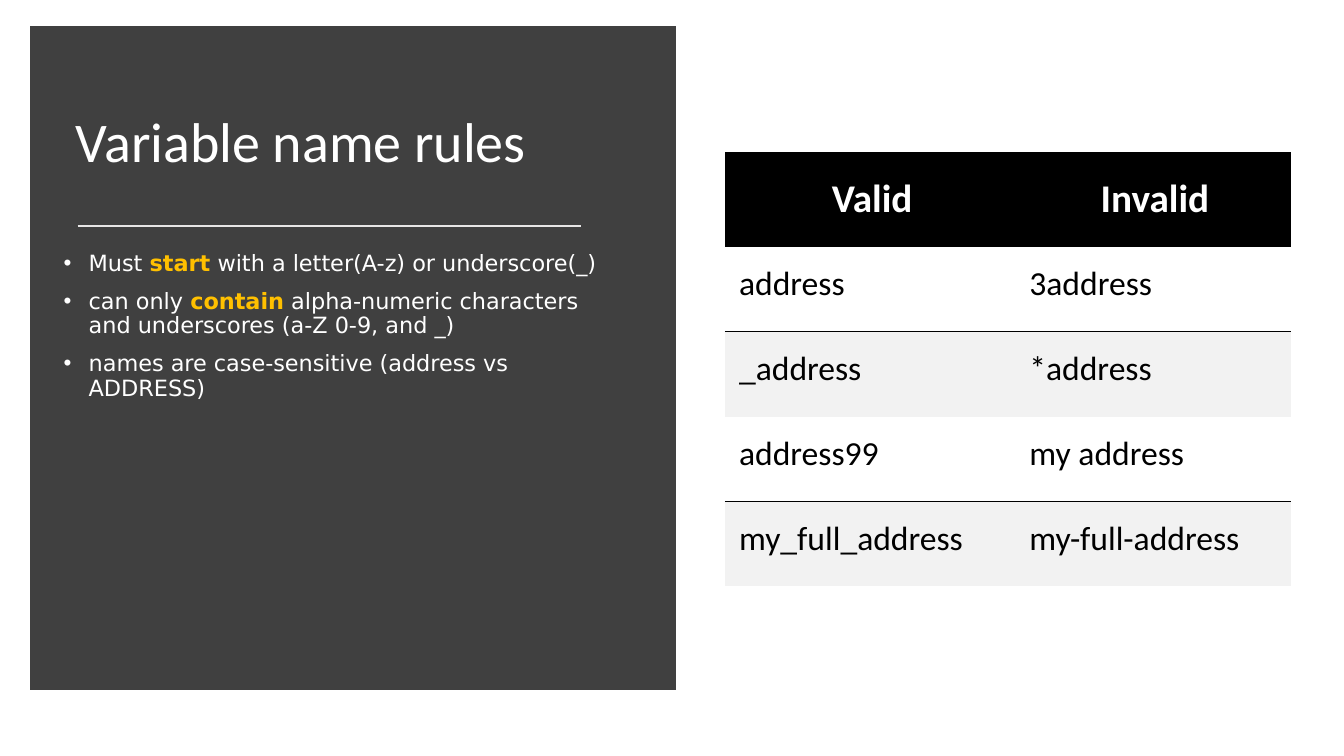
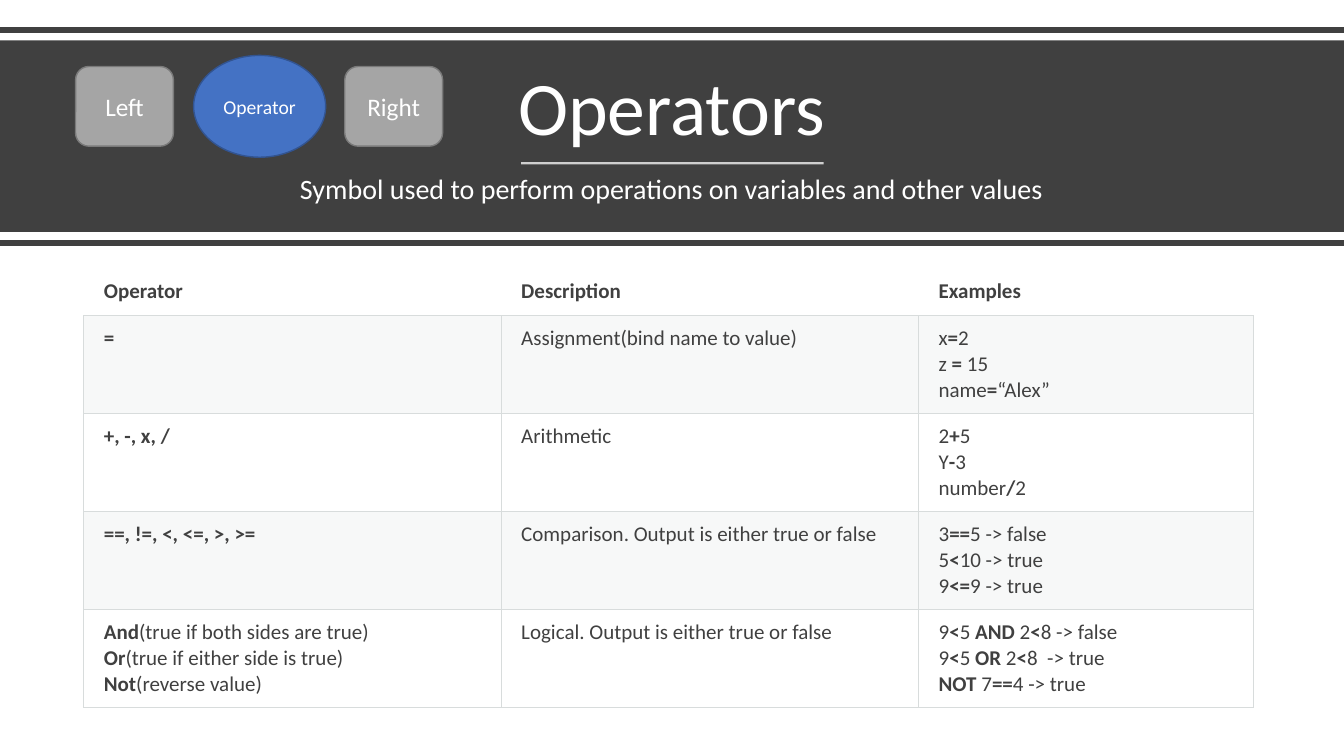
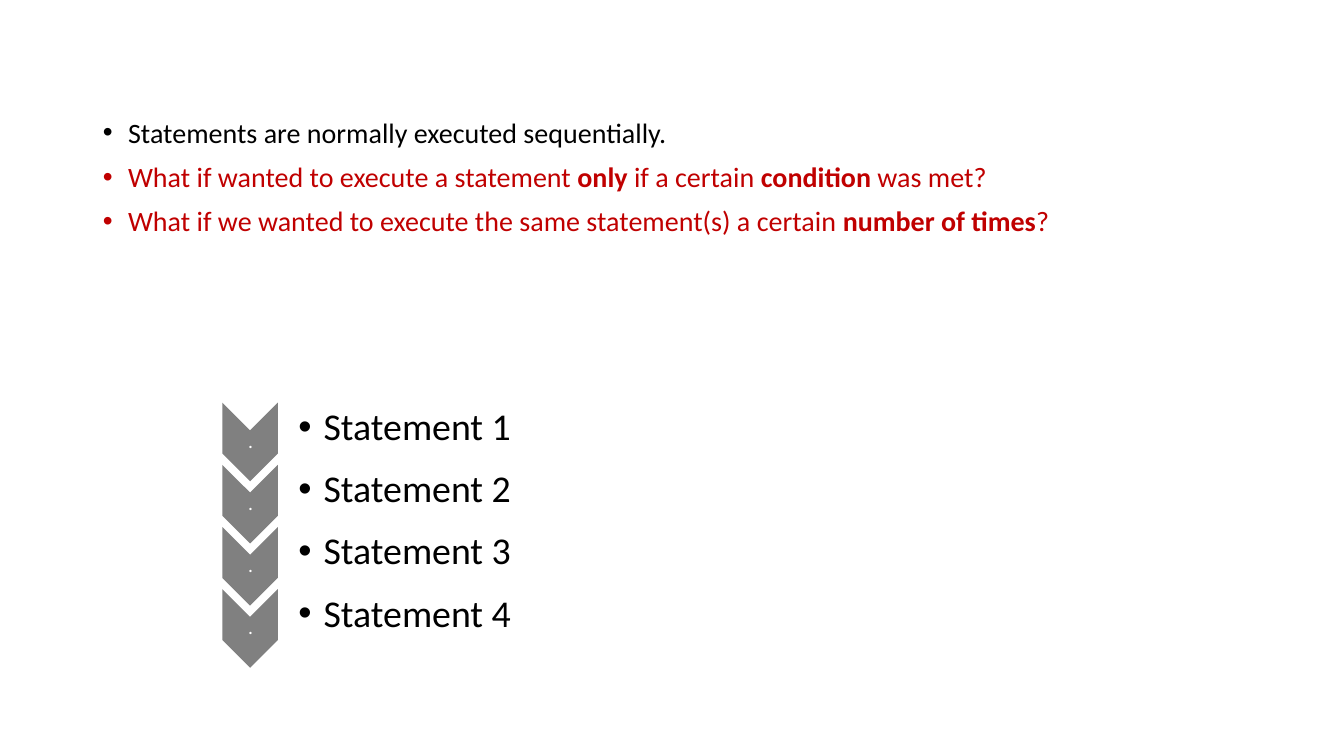
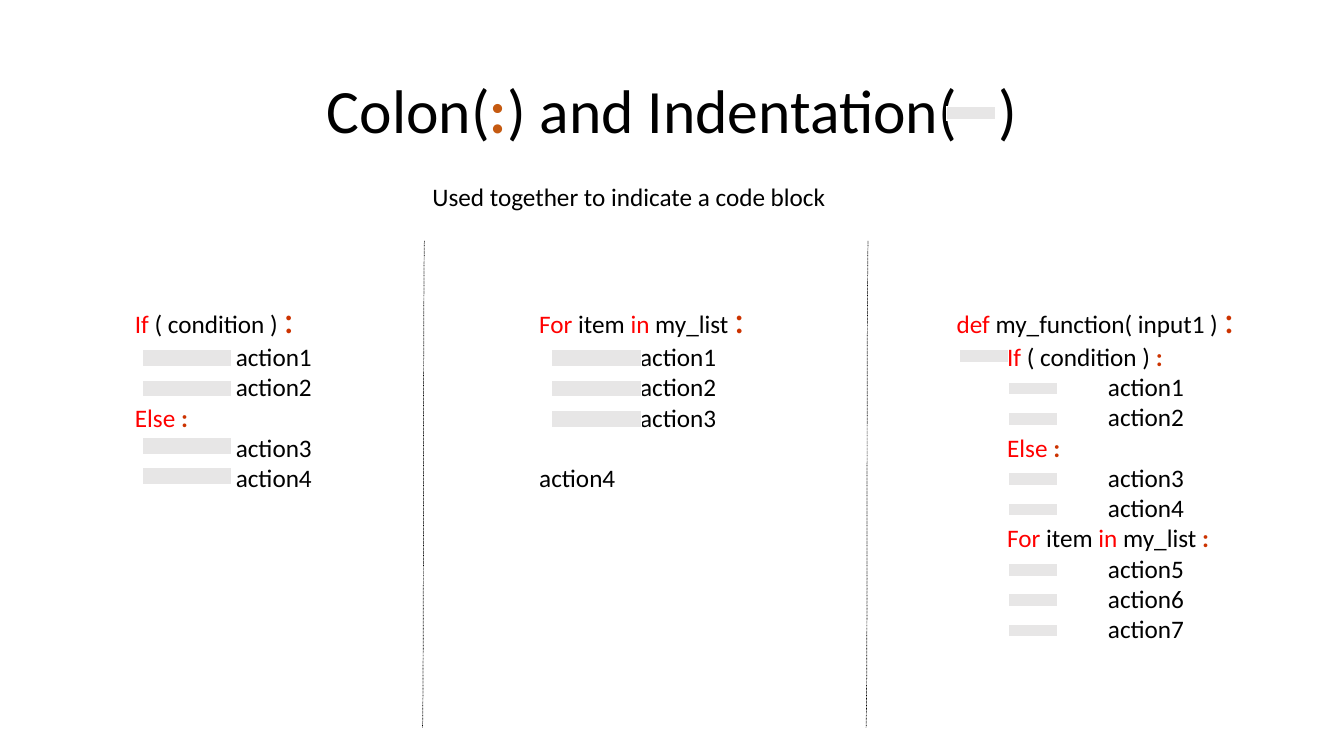
from lxml import etree
from pptx import Presentation
from pptx.dml.color import RGBColor
from pptx.enum.dml import MSO_LINE
from pptx.enum.shapes import MSO_CONNECTOR, MSO_SHAPE
from pptx.enum.text import MSO_ANCHOR, MSO_AUTO_SIZE, PP_ALIGN
from pptx.oxml.ns import qn
from pptx.util import Inches, Pt

RECT, ROUND = MSO_SHAPE.RECTANGLE, MSO_SHAPE.ROUNDED_RECTANGLE
OVAL, CHEVRON = MSO_SHAPE.OVAL, MSO_SHAPE.CHEVRON
CARD = MSO_SHAPE.ROUND_2_SAME_RECTANGLE
STRAIGHT, CURVE = MSO_CONNECTOR.STRAIGHT, MSO_CONNECTOR.CURVE
DOTS = MSO_LINE.ROUND_DOT
LEFT, CENTER = PP_ALIGN.LEFT, PP_ALIGN.CENTER
TOP, MIDDLE, BOTTOM = MSO_ANCHOR.TOP, MSO_ANCHOR.MIDDLE, MSO_ANCHOR.BOTTOM
FIXED = MSO_AUTO_SIZE.NONE

FONT, CODE = "Calibri", "DejaVu Sans"
DARK, WHITE, BLACK = "404040", "FFFFFF", "000000"
PALE, GRID, TINT, BAND = "E7E6E6", "D8DCDC", "D8DEDC", "F2F2F2"
GRAY, EDGE, BLUE, NAVY, STEEL = "A5A5A5", "7A7A7A", "4472C4", "325491", "808080"
GOLD, CRIMSON, RED, RUST, AMBER = "FFC000", "C00000", "FF0000", "CC3300", "C55A11"
PLAIN = "{2D5ABB26-0587-4C30-8999-92F81FD0307C}"


def color(code):
    return RGBColor.from_string(code)


def fade(node, share):
    for tone in node.iter(qn("a:srgbClr")):
        etree.SubElement(tone, qn("a:alpha"), val=str(share * 1000))


def mark(text, base=None, strong=None):
    styles = base or {}, {"bold": True, **(base or {}), **(strong or {})}
    return [(part, styles[i % 2]) for i, part in enumerate(text.split("|")) if part]


def write(par, runs, size, tone, bold=False, face=FONT):
    for text, style in runs:
        run = par.add_run()
        run.text = text
        font = run.font
        font.name = face
        font.size = Pt(style.get("size", size))
        font.bold = style.get("bold", bold)
        font.color.rgb = color(style.get("tone", tone))


def lay(par, align=LEFT, line=None, before=0, left=0, bullet=False):
    par.alignment = align
    par.space_before = Pt(before)
    if line:
        par.line_spacing = line
    props = par._p.get_or_add_pPr()
    props.set("marL", str(Inches(0.25 if bullet else left)))
    props.set("indent", str(Inches(-0.25 if bullet else 0)))
    if bullet:
        etree.SubElement(props, qn("a:buFont"), typeface="Arial")
        etree.SubElement(props, qn("a:buChar"), char="•")
    else:
        etree.SubElement(props, qn("a:buNone"))


def fill_text(frame, pars, size, tone, anchor=TOP, inset=None,
              bold=False, face=FONT, **style):
    frame.word_wrap = True
    frame.auto_size = FIXED
    frame.vertical_anchor = anchor
    if inset:
        (frame.margin_left, frame.margin_top,
         frame.margin_right, frame.margin_bottom) = map(Inches, inset)
    for i, runs in enumerate(pars):
        par = frame.add_paragraph() if i else frame.paragraphs[0]
        lay(par, **style)
        write(par, runs, size, tone, bold, face)


def place(shape, box):
    shape.left, shape.top, shape.width, shape.height = map(Inches, box)
    return shape.text_frame


def add_text(slide, box, pars, size, tone, **style):
    frame = slide.shapes.add_textbox(*map(Inches, box)).text_frame
    fill_text(frame, pars, size, tone, **style)
    return frame


def add_box(slide, kind, box, fill, edge=None, width=1, back=False, alpha=None):
    shape = slide.shapes.add_shape(kind, *map(Inches, box))
    shape.shadow.inherit = False
    shape.fill.solid()
    shape.fill.fore_color.rgb = color(fill)
    if alpha:
        fade(shape._element.spPr, alpha)
    if edge:
        shape.line.color.rgb = color(edge)
        shape.line.width = Pt(width)
        outline = shape._element.spPr.find(qn("a:ln"))
        etree.SubElement(outline, qn("a:miter"), lim="800000")
    else:
        shape.line.fill.background()
    if back:
        slide.shapes._spTree.insert(2, shape._element)
    return shape


def add_line(slide, start, end, tone, width, kind=STRAIGHT, dash=None, alpha=None):
    line = slide.shapes.add_connector(kind, *map(Inches, start + end))
    line.line.color.rgb = color(tone)
    line.line.width = Pt(width)
    if dash:
        line.line.dash_style = dash
    props = line._element.spPr
    if alpha:
        fade(props, alpha)
    etree.SubElement(props, qn("a:effectLst"))


def add_grid(slide, spot, cols, rows):
    size = sum(cols), sum(rows)
    table = slide.shapes.add_table(
        len(rows), len(cols), *map(Inches, spot + size)).table
    table.first_row = table.horz_banding = False
    table._tbl.tblPr.find(qn("a:tableStyleId")).text = PLAIN
    for col, width in zip(table.columns, cols):
        col.width = Inches(width)
    for row, height in zip(table.rows, rows):
        row.height = Inches(height)
    return table


def add_cell(cell, pars, size, tone, inset, fill=None, alpha=None,
             sides="", edge=BLACK, width=1, anchor=TOP, **style):
    fill_text(cell.text_frame, pars, size, tone, **style)
    (cell.margin_left, cell.margin_top,
     cell.margin_right, cell.margin_bottom) = map(Inches, inset)
    cell.vertical_anchor = anchor
    if fill:
        cell.fill.solid()
        cell.fill.fore_color.rgb = color(fill)
    else:
        cell.fill.background()
    props = cell._tc.tcPr
    if alpha:
        fade(props, alpha)
    for i, side in enumerate("LRTB"):
        line = etree.Element(qn("a:ln" + side), w=str(Pt(width)))
        if side in sides:
            paint = etree.SubElement(line, qn("a:solidFill"))
            etree.SubElement(paint, qn("a:srgbClr"), val=edge)
        else:
            etree.SubElement(line, qn("a:noFill"))
        props.insert(i, line)


def add_title(slide, box, runs, size, tone, **style):
    fill_text(place(slide.shapes.title, box), [runs], size, tone, line=0.9, **style)


def add_body(slide, box, pars, size, tone, **style):
    frame = place(slide.placeholders[1], box)
    fill_text(frame, pars, size, tone, line=0.9, before=10, **style)


def name_rules(slide):
    add_box(slide, RECT, (0.37, 0.33, 6.27, 6.45), DARK, DARK, 10, back=True)
    add_title(slide, (0.65, 0.7, 5.73, 1.47), mark("Variable name rules"),
              40, WHITE, anchor=MIDDLE)
    add_line(slide, (0.77, 2.24), (5.76, 2.24), PALE, 1.75)
    rules = ("Must |start| with a letter(A-z) or underscore(_)",
             "can only |contain| alpha-numeric characters and underscores (a-Z 0-9, and _)",
             "names are case-sensitive (address vs ADDRESS)")
    add_body(slide, (0.53, 2.45, 5.73, 4.13),
             [mark(rule, strong={"tone": GOLD}) for rule in rules],
             16, WHITE, face=CODE, bullet=True)
    names = (("Valid", "Invalid"), ("address", "3address"), ("_address", "*address"),
             ("address99", "my address"), ("my_full_address", "my-full-address"))
    table = add_grid(slide, (7.19, 1.51), (2.88, 2.73),
                     (0.94,) + ((4.31 - 0.94) / 4,) * 4)
    for r, row in enumerate(names):
        for c, name in enumerate(row):
            if r == 0:
                look = dict(size=28, tone=WHITE, inset=(0.14, 0.2, 0.1, 0.2), fill=BLACK,
                            bold=True, align=CENTER, anchor=MIDDLE)
            else:
                look = dict(size=24, tone=BLACK, inset=(0.14, 0.17, 0.1, 0.2),
                            fill=None if r % 2 else BAND, sides="B" if r % 2 else "T")
            add_cell(table.cell(r, c), [mark(name)], **look)


def operators(slide):
    add_box(slide, RECT, (0, 0.4, 13.33, 1.9), DARK, back=True)
    for y in (0.3, 2.41):
        add_line(slide, (0, y), (13.33, y), DARK, 4)
    add_title(slide, (0.57, 0.54, 12.18, 1.02), mark("Operators"),
              54, WHITE, anchor=BOTTOM, align=CENTER)
    add_body(slide, (1.66, 1.69, 10, 0.46),
             [mark("Symbol used to perform operations on variables and other values")],
             20, WHITE, align=CENTER)
    add_line(slide, (5.17, 1.62), (8.17, 1.62), WHITE, 1.5, alpha=75)
    rows = (
        (["|Operator"], ["|Description"], ["|Examples"]),
        (["|="], ["Assignment(bind name to value)"],
         ["x|=|2", "z |=| 15", "name|=|“Alex”"]),
        (["|+, -, x, /"], ["Arithmetic"],
         ["2|+|5", "Y|-|3", "number|/|2"]),
        (["|==, !=, <, <=, >, >="], ["Comparison. Output is either true or false"],
         ["3|==|5 -> false", "5|<|10 -> true", "9|<=|9 -> true"]),
        (["|And|(true if both sides are true)", "|Or|(true if either side is true)",
          "|Not|(reverse value)"], ["Logical. Output is either true or false"],
         ["9|<|5 |AND| 2|<|8 -> false", "9|<|5 |OR| 2|<|8  -> true",
          "|NOT| 7|==|4 -> true"]))
    table = add_grid(slide, (0.83, 2.65), (4.14, 4.14, 3.32),
                     (0.48,) + ((4.37 - 0.48) / 4,) * 4)
    for r, row in enumerate(rows):
        odd = r % 2
        for c, lines in enumerate(row):
            add_cell(table.cell(r, c), [mark(line) for line in lines], 15, DARK,
                     (0.2, 0.1, 0.12, 0.1), fill=TINT if odd else None,
                     alpha=20 if odd else None, sides="LRTB" if r else "B",
                     edge=GRID, width=0.75, anchor=TOP if r else MIDDLE)
    marks = ((ROUND, (3.42, 0.66, 0.97, 0.79), GRAY, EDGE, "Right", 18),
             (OVAL, (1.92, 0.55, 1.31, 1.01), BLUE, NAVY, "Operator", 14),
             (ROUND, (0.75, 0.66, 0.97, 0.79), GRAY, EDGE, "Left", 18))
    for kind, box, fill, edge, text, size in marks:
        shape = add_box(slide, kind, box, fill, edge)
        fill_text(shape.text_frame, [mark(text)], size, WHITE,
                  anchor=MIDDLE, align=CENTER)


def statements(slide):
    title = slide.shapes.title._element
    title.getparent().remove(title)
    warm = {"tone": CRIMSON}
    add_body(slide, (0.92, 1.13, 11.5, 4.76), [
        mark("Statements are normally executed sequentially."),
        mark("What if wanted to execute a statement |only| if a certain "
             "|condition| was met?", warm),
        mark("What if we wanted to execute the same statement(s) a certain "
             "|number of times|?", warm)], 20, BLACK, bullet=True)
    step = (5.87 - 4.02) / 3
    for i in range(4):
        y = 4.02 + step * i
        add_box(slide, CHEVRON, (2.09, y + 0.09, 0.78, 0.55), STEEL).rotation = 90
        add_text(slide, (2.21, y + 0.25, 0.55, 0.23), [mark(".")], 14, WHITE,
                 anchor=MIDDLE, inset=(0.01,) * 4, align=CENTER, line=0.9)
        card = add_box(slide, CARD, (6.12, y - 3.39, 0.51, 7.23), WHITE, alpha=90)
        card.rotation = 90
        add_text(slide, (2.75, y, 7.21, 0.46), [mark(f"Statement {i + 1}")], 27, BLACK,
                 anchor=MIDDLE, inset=(0.21, 0.02, 0.02, 0.02), line=0.9, bullet=True)


def add_code(slide, box, lines):
    frame = add_text(slide, box, [runs for left, runs in lines], 18, BLACK)
    for par, (left, runs) in zip(frame.paragraphs, lines):
        par._p.pPr.set("marL", str(Inches(left)))
    return frame


def add_bars(slide, x, y, size, rows):
    for row in rows:
        add_box(slide, RECT, (x, y + 0.3 * row) + size, PALE, WHITE)


def indents(slide):
    add_title(slide, (0.92, 0.4, 11.5, 1.45),
              mark("Colon(|:|) and Indentation(   )", strong={"tone": AMBER}),
              44, BLACK, anchor=MIDDLE, align=CENTER)
    big = (":", {"tone": RUST, "size": 28})
    small = (":", {"tone": RUST, "bold": True})
    test = [("If", {"tone": RED}), (" ( condition ) ", {})]
    other = [("Else ", {"tone": RED}), small]
    loop = [("For", {"tone": RED}), (" item ", {}), ("in", {"tone": RED}),
            (" my_list ", {})]
    head = [("def", {"tone": RED}), (" my_function( input1 ) ", {}), big]

    def steps(first, last, left):
        return [(left, mark(f"action{n}")) for n in range(first, last + 1)]

    add_code(slide, (1.24, 2.87, 2.56, 2.09),
             [(0, test + [big])] + steps(1, 2, 1) + [(0, other)] + steps(3, 4, 1))
    frame = add_code(slide, (5.25, 2.87, 2.56, 2.39),
                     [(0, loop + [big])] + steps(1, 3, 1) + steps(4, 4, 0))
    frame.paragraphs[-1].space_before = Pt(21.6)
    add_code(slide, (9.39, 2.87, 3.02, 3.9),
             [(0, head), (0.5, test + [small])] + steps(1, 2, 1.5)
             + [(0.5, other)] + steps(3, 4, 1.5)
             + [(0.5, loop + [small])] + steps(5, 7, 1.5))
    wide, slim = (0.89, 0.17), (0.49, 0.13)
    add_bars(slide, 1.41, 3.47, wide, (0, 1))
    add_bars(slide, 1.41, 3.44, wide, (3, 4))
    add_bars(slide, 5.47, 3.47, wide, (0, 1, 2))
    add_bars(slide, 9.51, 3.47, slim, (0,))
    add_bars(slide, 10, 3.49, slim, (1, 2, 4, 5, 7, 8, 9))
    add_bars(slide, 9.39, 1.06, slim, (0,))
    for x in (4.21, 8.61):
        add_line(slide, (x, 2.39), (x - 0.02, 7.22), BLACK, 0.5, CURVE, DOTS)
    add_text(slide, (4.19, 1.75, 9, 0.4),
             [mark("Used together to indicate a code block")], 18, BLACK)


def main():
    deck = Presentation()
    deck.slide_width, deck.slide_height = Inches(13.33), Inches(7.5)
    pages = (name_rules, 1), (operators, 1), (statements, 1), (indents, 5)
    for build, layout in pages:
        build(deck.slides.add_slide(deck.slide_layouts[layout]))
    deck.save("out.pptx")


if __name__ == "__main__":
    main()
